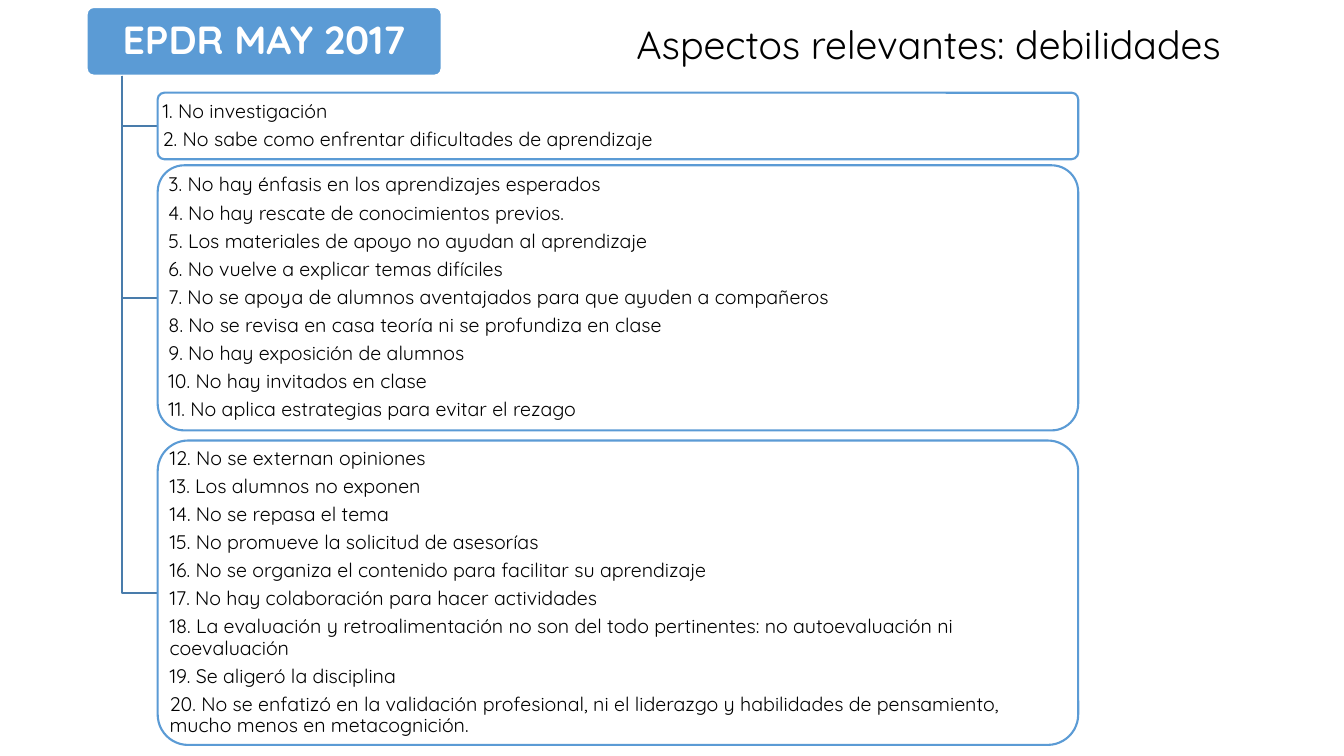
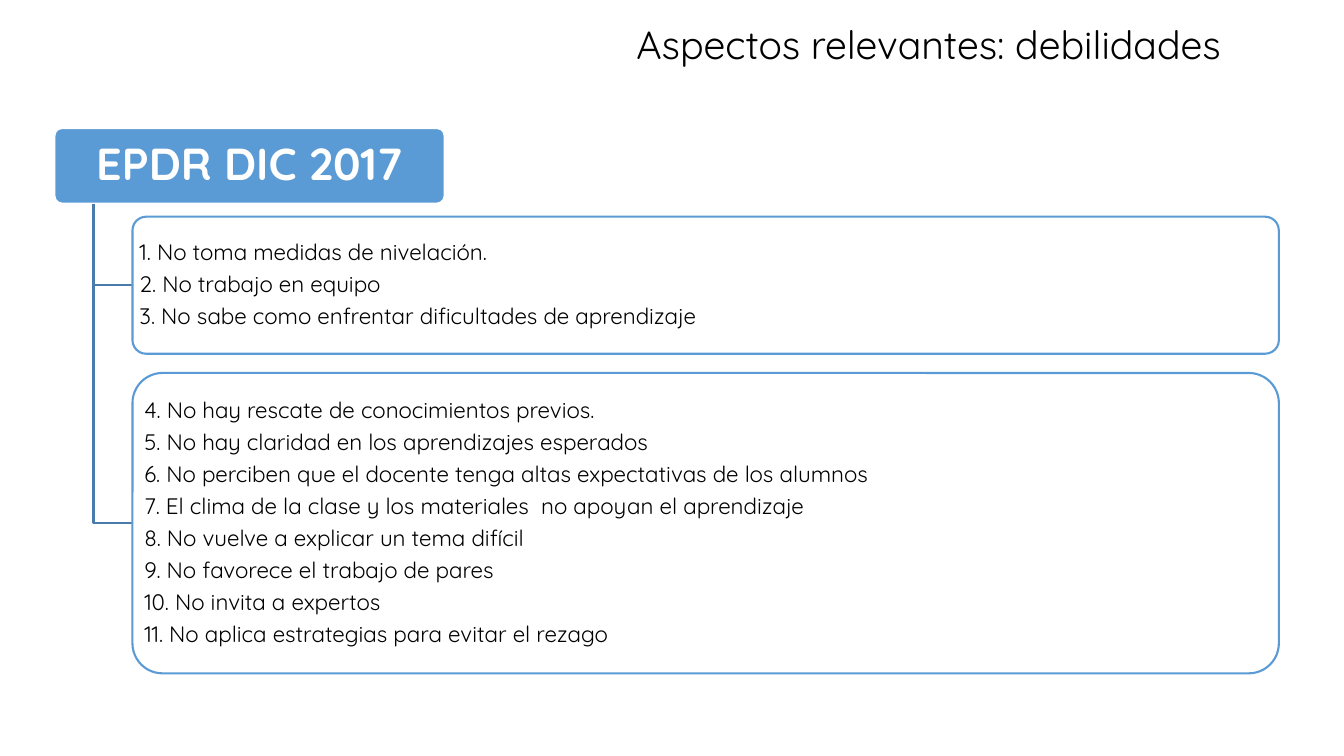
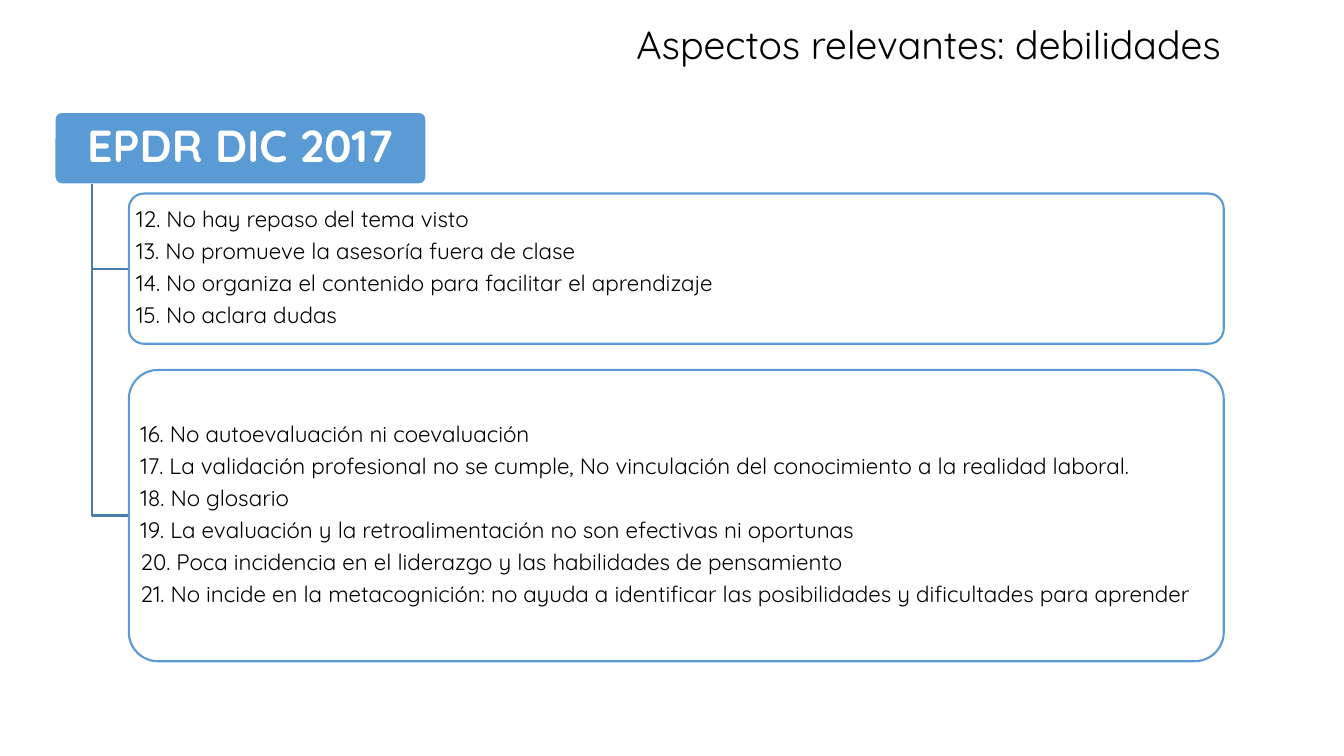
import dataclasses

import lxml.etree
import pptx
import pptx.dml.color
import pptx.enum.shapes
import pptx.enum.text
import pptx.oxml.ns
import pptx.util

Inches = pptx.util.Inches
Pt = pptx.util.Pt
RGBColor = pptx.dml.color.RGBColor
PP_ALIGN = pptx.enum.text.PP_ALIGN
MSO_ANCHOR = pptx.enum.text.MSO_ANCHOR

# Shared style
BLUE = RGBColor(0x5B, 0x9B, 0xD5)
LINK_BLUE = RGBColor(0x49, 0x7C, 0xAB)
WHITE = RGBColor(0xFF, 0xFF, 0xFF)
BLACK = RGBColor(0x00, 0x00, 0x00)
FONT = "Quicksand"
TITLE = "Aspectos relevantes: debilidades"
TITLE_SIZE = 28
LINE_WIDTH = 1.5
LINE_SPACING = 0.9
PARAGRAPH_GAP = 0.35  # share of the font size
TRUNK_SHARE = 0.1  # trunk position along the header width
BRANCH_SHARE = 0.2  # left edge of the branches along the header width
BRANCH_OPACITY = 90


@dataclasses.dataclass
class Header:
    text: str
    left: float
    top: float
    width: float
    height: float
    size: int


@dataclasses.dataclass
class Branch:
    top: float
    height: float
    items: list[str]


@dataclasses.dataclass
class Tree:
    header: Header
    branch_width: float
    item_size: int
    branches: list[Branch]


TREES = [
    Tree(Header("EPDR MAY 2017", 0.86, 0.07, 3.52, 0.68, 28), 9.13, 14, [
        Branch(0.92, 0.66, [
            "1. No investigación",
            "2. No sabe como enfrentar dificultades de aprendizaje",
        ]),
        Branch(1.64, 2.63, [
            "3. No hay énfasis en los aprendizajes esperados",
            "4. No hay rescate de conocimientos previos.",
            "5. Los materiales de apoyo no ayudan al aprendizaje",
            "6. No vuelve a explicar temas difíciles",
            "7. No se apoya de alumnos aventajados para que ayuden a compañeros",
            "8. No se revisa en casa teoría ni se profundiza en clase",
            "9. No hay exposición de alumnos",
            "10. No hay invitados en clase",
            "11. No aplica estrategias para evitar el rezago",
        ]),
        Branch(4.37, 3.02, [
            "12. No se externan opiniones",
            "13. Los alumnos no exponen",
            "14. No se repasa el tema",
            "15. No promueve la solicitud de asesorías",
            "16. No se organiza el contenido para facilitar su aprendizaje",
            "17. No hay colaboración para hacer actividades",
            "18. La evaluación y retroalimentación no son del todo pertinentes: "
            "no autoevaluación ni coevaluación",
            "19. Se aligeró la disciplina",
            "20. No se enfatizó en la validación profesional, ni el liderazgo y "
            "habilidades de pensamiento, mucho menos en metacognición.",
        ]),
    ]),
    Tree(Header("EPDR DIC 2017", 0.54, 1.27, 3.87, 0.75, 32), 11.37, 16, [
        Branch(2.15, 1.36, [
            "1. No toma medidas de nivelación.",
            "2. No trabajo en equipo",
            "3. No sabe como enfrentar dificultades de aprendizaje",
        ]),
        Branch(3.7, 2.98, [
            "4. No hay rescate de conocimientos previos.",
            "5. No hay claridad en los aprendizajes esperados",
            "6. No perciben que el docente tenga altas expectativas de los alumnos",
            "7. El clima de la clase y los materiales  no apoyan el aprendizaje",
            "8. No vuelve a explicar un tema difícil",
            "9. No favorece el trabajo de pares",
            "10. No invita a expertos",
            "11. No aplica estrategias para evitar el rezago",
        ]),
    ]),
    Tree(Header("EPDR DIC 2017", 0.54, 1.11, 3.69, 0.72, 32), 10.86, 16, [
        Branch(1.92, 1.49, [
            "12. No hay repaso del tema visto",
            "13. No promueve la asesoría fuera de clase",
            "14. No organiza el contenido para facilitar el aprendizaje",
            "15. No aclara dudas",
        ]),
        Branch(3.67, 2.89, [
            "16. No autoevaluación ni coevaluación",
            "17. La validación profesional no se cumple, No vinculación del "
            "conocimiento a la realidad laboral.",
            "18. No glosario",
            "19. La evaluación y la retroalimentación no son efectivas ni oportunas",
            "20. Poca incidencia en el liderazgo y las habilidades de pensamiento",
            "21. No incide en la metacognición: no ayuda a identificar las "
            "posibilidades y dificultades para aprender",
        ]),
    ]),
]


def set_paragraphs(tf, lines: list[str], size: int, color: RGBColor,
                   align: PP_ALIGN, bold: bool = False) -> None:
    """Fill a text frame with one formatted paragraph per line."""
    tf.word_wrap = True
    for i, line in enumerate(lines):
        p = tf.add_paragraph() if i else tf.paragraphs[0]
        p.text = line
        p.alignment = align
        p.line_spacing = LINE_SPACING
        p.space_before = Pt(PARAGRAPH_GAP * size if i else 0)
        for r in p.runs:
            r.font.name = FONT
            r.font.size = Pt(size)
            r.font.bold = bold
            r.font.color.rgb = color


def add_title(slide) -> None:
    sp = slide.shapes.title
    sp.left, sp.top = Inches(5.51), Inches(0.22)
    sp.width, sp.height = Inches(7.4), Inches(0.93)
    tf = sp.text_frame
    tf.vertical_anchor = MSO_ANCHOR.TOP
    tf.margin_top = Inches(0.03)
    set_paragraphs(tf, [TITLE], TITLE_SIZE, BLACK, PP_ALIGN.CENTER)


def add_box(slide, left: float, top: float, width: float, height: float,
            fill: RGBColor, line: RGBColor, margin_x: float, margin_y: float):
    """Add a rounded box with its text centred vertically."""
    sp = slide.shapes.add_shape(
        pptx.enum.shapes.MSO_SHAPE.ROUNDED_RECTANGLE,
        Inches(left), Inches(top), Inches(width), Inches(height))
    sp.adjustments[0] = 0.1
    sp.shadow.inherit = False
    sp.fill.solid()
    sp.fill.fore_color.rgb = fill
    sp.line.color.rgb = line
    sp.line.width = Pt(LINE_WIDTH)
    tf = sp.text_frame
    tf.vertical_anchor = MSO_ANCHOR.MIDDLE
    tf.margin_left = tf.margin_right = Inches(margin_x)
    tf.margin_top = tf.margin_bottom = Inches(margin_y)
    return sp


def set_opacity(sp, percent: int) -> None:
    qn = pptx.oxml.ns.qn
    color = sp.fill._xPr.find(qn("a:solidFill")).find(qn("a:srgbClr"))
    lxml.etree.SubElement(color, qn("a:alpha")).set("val", str(percent * 1000))


def add_link(slide, x: float, top: float, end_x: float, end_y: float) -> None:
    """Draw an elbow line that goes down and then right."""
    builder = slide.shapes.build_freeform(Inches(x), Inches(top))
    builder.add_line_segments(
        [(Inches(x), Inches(end_y)), (Inches(end_x), Inches(end_y))], close=False)
    sp = builder.convert_to_shape()
    sp.shadow.inherit = False
    sp.fill.background()
    sp.line.color.rgb = LINK_BLUE
    sp.line.width = Pt(LINE_WIDTH)


def add_tree(slide, tree: Tree) -> None:
    # Header
    h = tree.header
    sp = add_box(slide, h.left, h.top, h.width, h.height, BLUE, WHITE, 0.07, 0.04)
    set_paragraphs(sp.text_frame, [h.text], h.size, WHITE, PP_ALIGN.CENTER, bold=True)

    # Branches, each hanging from the trunk
    trunk_x = h.left + TRUNK_SHARE * h.width
    branch_x = h.left + BRANCH_SHARE * h.width
    for b in tree.branches:
        add_link(slide, trunk_x, h.top + h.height, branch_x, b.top + b.height / 2)
        sp = add_box(slide, branch_x, b.top, tree.branch_width, b.height,
                     WHITE, BLUE, 0.03, 0.02)
        set_opacity(sp, BRANCH_OPACITY)
        set_paragraphs(sp.text_frame, b.items, tree.item_size, BLACK, PP_ALIGN.LEFT)


def main() -> None:
    prs = pptx.Presentation()
    prs.slide_width, prs.slide_height = Inches(13.33), Inches(7.5)
    title_only = prs.slide_layouts.get_by_name("Title Only")
    for tree in TREES:
        slide = prs.slides.add_slide(title_only)
        add_title(slide)
        add_tree(slide, tree)
    prs.save("out.pptx")


if __name__ == "__main__":
    main()
